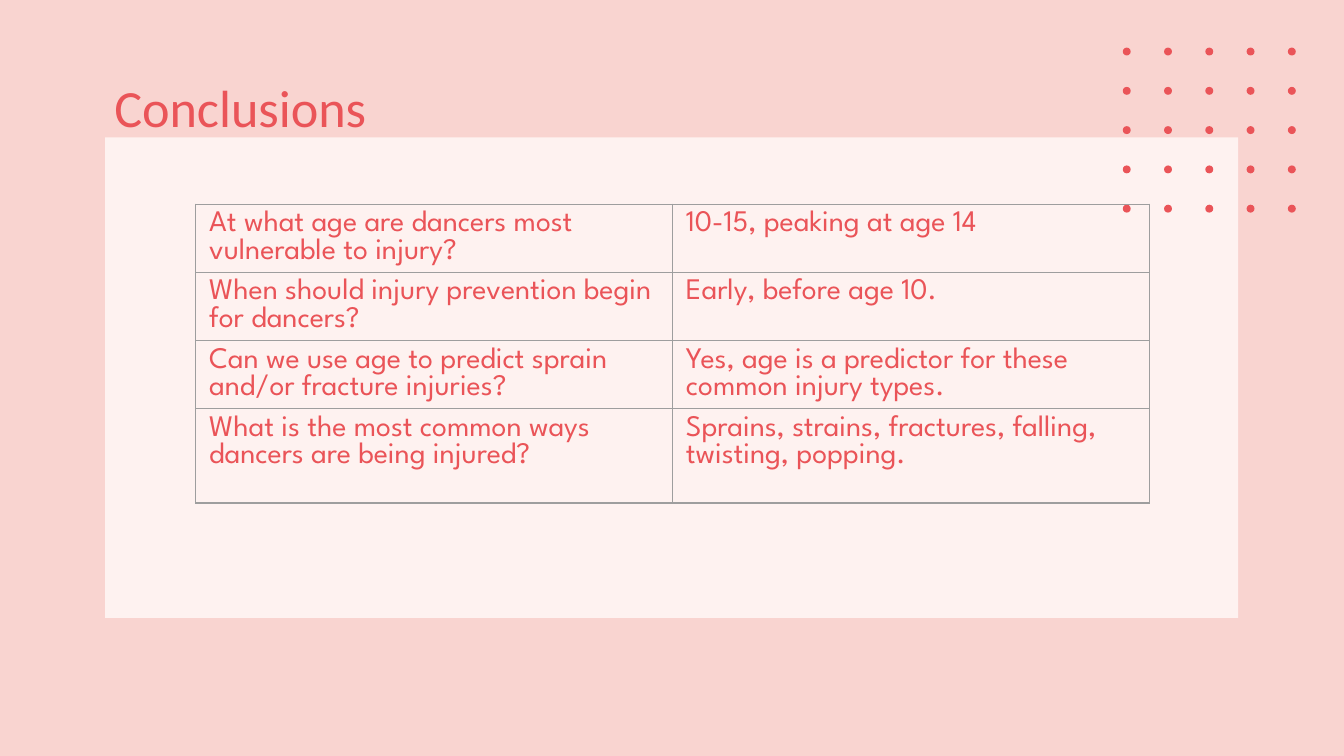
from lxml import etree
from pptx import Presentation
from pptx.dml.color import RGBColor
from pptx.enum.shapes import MSO_SHAPE
from pptx.enum.text import MSO_ANCHOR, MSO_AUTO_SIZE, PP_ALIGN
from pptx.oxml.ns import qn
from pptx.util import Cm, Pt

RECT, OVAL = MSO_SHAPE.RECTANGLE, MSO_SHAPE.OVAL
TOP, LEFT, NO_FIT = MSO_ANCHOR.TOP, PP_ALIGN.LEFT, MSO_AUTO_SIZE.NONE
TITLE_ONLY = 5

COLORS = {"background": "F9D4D0", "panel": "FEF2F0", "accent": "EA5458", "border": "9E9E9E"}

CONCLUSIONS = [
    ("At what age are dancers most vulnerable to injury?", "10-15, peaking at age 14"),
    ("When should injury prevention begin for dancers?", "Early, before age 10."),
    ("Can we use age to predict sprain and/or fracture injuries?",
     "Yes, age is a predictor for these common injury types."),
    ("What is the most common ways dancers are being injured?",
     "Sprains, strains, fractures, falling, twisting, popping."),
]
ROW_HEIGHTS = [1.04, 1.04, 1.04, 1.78]


def rgb(name):
    return RGBColor.from_string(COLORS[name])


def write(tf, text, font="League Spartan", size=16, color="accent"):
    p = tf.paragraphs[0]
    p.alignment = LEFT
    r = p.add_run()
    r.text = text
    r.font.name = font
    r.font.size = Pt(size)
    r.font.bold = False
    r.font.color.rgb = rgb(color)


def add_filled(s, kind, x, y, w, h, color):
    sp = s.shapes.add_shape(kind, Cm(x), Cm(y), Cm(w), Cm(h))
    sp.shadow.inherit = False
    sp.fill.solid()
    sp.fill.fore_color.rgb = rgb(color)
    sp.line.fill.background()


def add_dots(s, x, y, w, h, count=5, size=0.15):
    for col in range(count):
        for row in range(count):
            add_filled(s, OVAL, x + col * (w - size) / (count - 1),
                       y + row * (h - size) / (count - 1), size, size, "accent")


def place_title(s, text, x, y, w, h):
    sp = s.shapes.title
    sp.left, sp.top, sp.width, sp.height = Cm(x), Cm(y), Cm(w), Cm(h)
    tf = sp.text_frame
    tf.word_wrap = True
    tf.auto_size = NO_FIT
    tf.vertical_anchor = TOP
    tf.margin_left = tf.margin_right = tf.margin_top = tf.margin_bottom = Cm(0.25)
    write(tf, text, font="Calibri", size=28)


def set_borders(cell, color, width):
    tcPr = cell._tc.get_or_add_tcPr()
    for i, side in enumerate(("lnL", "lnR", "lnT", "lnB")):
        ln = etree.Element(qn(f"a:{side}"), w=str(Pt(width)))
        fill = etree.SubElement(ln, qn("a:solidFill"))
        etree.SubElement(fill, qn("a:srgbClr"), val=COLORS[color])
        tcPr.insert(i, ln)


def add_conclusions(s, x, y, w):
    rows, cols = len(CONCLUSIONS), len(CONCLUSIONS[0])
    frame = s.shapes.add_table(rows, cols, Cm(x), Cm(y), Cm(w), Cm(sum(ROW_HEIGHTS)))
    table = frame.table
    table.first_row = table.horz_banding = False
    for col in table.columns:
        col.width = Cm(w / cols)
    for row, height, texts in zip(table.rows, ROW_HEIGHTS, CONCLUSIONS):
        row.height = Cm(height)
        for cell, text in zip(row.cells, texts):
            cell.fill.background()
            set_borders(cell, "border", 0.75)
            write(cell.text_frame, text)


def main():
    prs = Presentation()
    prs.slide_width, prs.slide_height = Cm(25.4), Cm(14.29)
    s = prs.slides.add_slide(prs.slide_layouts[TITLE_ONLY])
    s.background.fill.solid()
    s.background.fill.fore_color.rgb = rgb("background")
    add_filled(s, RECT, 1.99, 2.6, 21.41, 9.08, "panel")
    add_dots(s, 21.22, 0.9, 3.27, 3.12)
    place_title(s, "Conclusions", 1.91, 1.17, 16.51, 1.5)
    add_conclusions(s, 3.7, 3.86, 18.02)
    prs.save("out.pptx")


if __name__ == "__main__":
    main()
